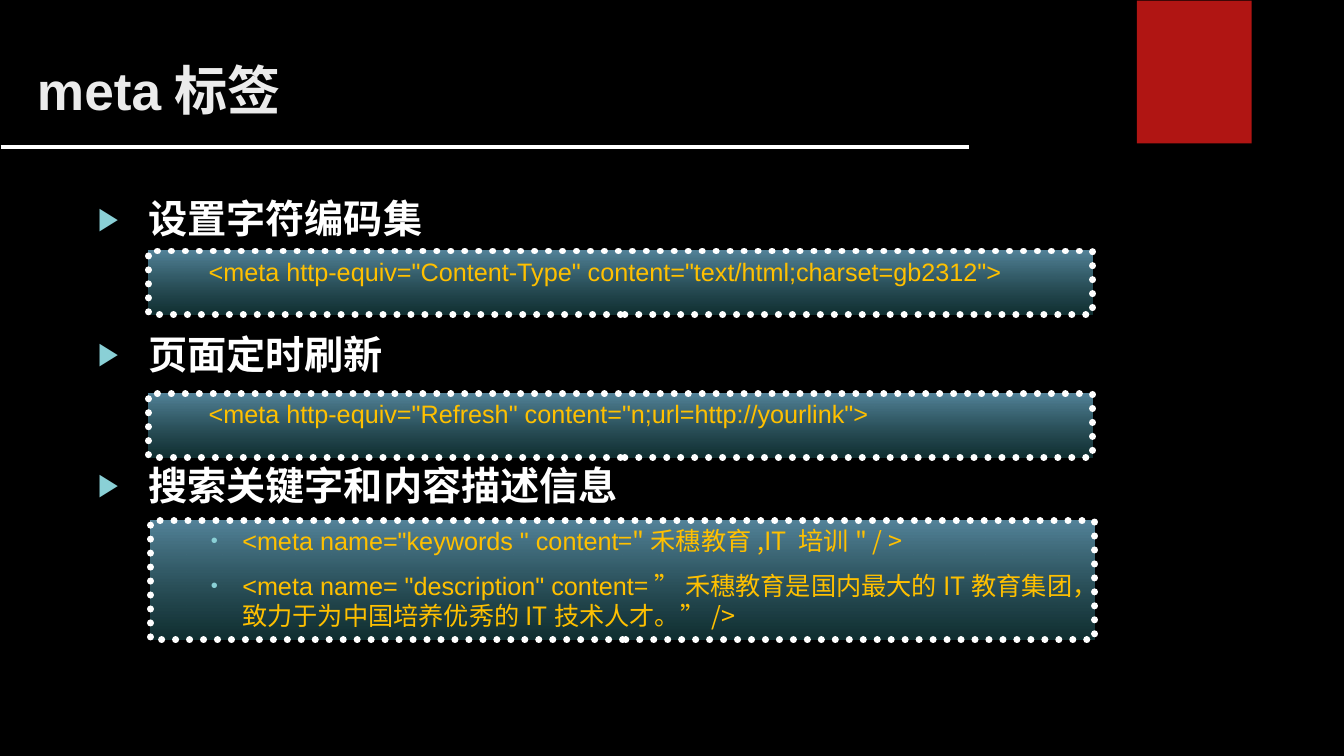
from lxml.etree import SubElement
from pptx import Presentation
from pptx.dml.color import RGBColor
from pptx.enum.dml import MSO_LINE
from pptx.enum.shapes import MSO_CONNECTOR, MSO_SHAPE
from pptx.enum.text import MSO_ANCHOR, MSO_AUTO_SIZE, PP_ALIGN
from pptx.oxml.ns import qn
from pptx.util import Pt

LATIN = "Arial"
CHINESE = "Noto Sans CJK SC"


def colour(value):
    return RGBColor.from_string(value)


def write_paragraph(para, spans, style, gap, hanging, bullet=None):
    layout = {"alignment": PP_ALIGN.LEFT, "line_spacing": 1.0, "space_before": Pt(gap)}
    for name, value in layout.items():
        setattr(para, name, value)
    properties = para._p.get_or_add_pPr()
    left, indent = hanging
    properties.set("marL", str(Pt(left)))
    properties.set("indent", str(Pt(indent)))
    if bullet:
        tint = SubElement(properties, qn("a:buClr"))
        SubElement(tint, qn("a:srgbClr"), val="8AD0D6")
        SubElement(properties, qn("a:buSzPct"), val="80000")
        SubElement(properties, qn("a:buFont"), typeface=LATIN)
        SubElement(properties, qn("a:buChar"), char=bullet)
    else:
        SubElement(properties, qn("a:buNone"))
    for text, typeface in spans:
        span = para.add_run()
        span.text = text
        for name, value in style.items():
            if name == "color":
                span.font.color.rgb = colour(value)
            else:
                setattr(span.font, name, value)
        span.font.name = typeface
        SubElement(span._r.get_or_add_rPr(), qn("a:ea"), typeface=CHINESE)


deck = Presentation()
deck.slide_width, deck.slide_height = Pt(960), Pt(540)
page = deck.slides.add_slide(deck.slide_layouts[1])
page.background.fill.solid()
page.background.fill.fore_color.rgb = colour("000000")

ribbon = page.shapes.add_shape(MSO_SHAPE.RECTANGLE, Pt(812), Pt(0.5), Pt(82), Pt(102))
ribbon.shadow.inherit = False
ribbon.fill.solid()
ribbon.fill.fore_color.rgb = colour("B01513")
ribbon.line.fill.background()

rule = page.shapes.add_connector(MSO_CONNECTOR.STRAIGHT, Pt(0.5), Pt(105), Pt(692), Pt(105))
rule.line.color.rgb = colour("FFFFFF")
rule.line.width = Pt(2.25)
SubElement(rule._element.spPr, qn("a:effectLst"))

title = page.shapes.title
body = page.placeholders[1]
frame_format = {
    "word_wrap": True,
    "auto_size": MSO_AUTO_SIZE.NONE,
    "vertical_anchor": MSO_ANCHOR.TOP,
    "margin_left": Pt(9.4),
    "margin_right": Pt(9.4),
    "margin_top": Pt(5),
    "margin_bottom": Pt(5),
}
for holder, bounds in [(title, (17, 36, 780, 87)), (body, (60.5, 134, 783, 329))]:
    holder.left, holder.top, holder.width, holder.height = map(Pt, bounds)
    for name, value in frame_format.items():
        setattr(holder.text_frame, name, value)

write_paragraph(
    title.text_frame.paragraphs[0],
    [("meta", LATIN), ("标签", CHINESE)],
    {"size": Pt(38), "bold": True, "color": "EBEBEB"},
    0,
    (0, 0),
)

headings = [("设置字符编码集", 0), ("页面定时刷新", 63), ("搜索关键字和内容描述信息", 60)]
for index, (heading, gap) in enumerate(headings):
    frame = body.text_frame
    write_paragraph(
        frame.add_paragraph() if index else frame.paragraphs[0],
        [(heading, CHINESE)],
        {"size": Pt(28), "bold": True, "color": "FFFFFF"},
        gap,
        (36, -36),
        "▶",
    )

plain = {"hanging": (36, 0)}
listed = {"hanging": (58.5, -22.5), "bullet": "•"}
code_boxes = [
    (106, 179.3, 45.5, plain, [
        [('<meta http-equiv="Content-Type" content="text/html;charset=gb2312">', LATIN)],
    ]),
    (106, 281.3, 45.5, plain, [
        [('<meta http-equiv="Refresh" content="n;url=http://yourlink">', LATIN)],
    ]),
    (107.5, 372, 85, listed, [
        [('<meta name="keywords " content', LATIN), ('="禾穗教育,IT 培训" / >', CHINESE)],
        [('<meta name= "description" content', LATIN),
         ("=” 禾穗教育是国内最大的IT教育集团，致力于为中国培养优秀的IT技术人才。”/>", CHINESE)],
    ]),
]
for left, top, height, indents, lines in code_boxes:
    box = page.shapes.add_shape(MSO_SHAPE.RECTANGLE, Pt(left), Pt(top), Pt(674.5), Pt(height))
    box.shadow.inherit = False
    box.fill.gradient()
    box.fill.gradient_angle = 270
    for stop, shade, position in zip(box.fill.gradient_stops, ("54849A", "194447"), (0, 1)):
        stop.color.rgb = colour(shade)
        stop.position = position
    last_shade = box._element.spPr.findall(".//" + qn("a:srgbClr"))[-1]
    SubElement(last_shade, qn("a:alpha"), val="70000")
    box.line.color.rgb = colour("FFFFFF")
    box.line.width = Pt(5)
    box.line.dash_style = MSO_LINE.ROUND_DOT
    box._element.spPr.find(qn("a:ln")).set("cap", "rnd")
    frame = box.text_frame
    frame.word_wrap = True
    frame.vertical_anchor = MSO_ANCHOR.TOP
    frame.margin_top = Pt(3.6)
    for index, spans in enumerate(lines):
        write_paragraph(
            frame.add_paragraph() if index else frame.paragraphs[0],
            spans,
            {"size": Pt(18), "color": "FFC000"},
            10 if index else 0,
            **indents,
        )

deck.save("out.pptx")
